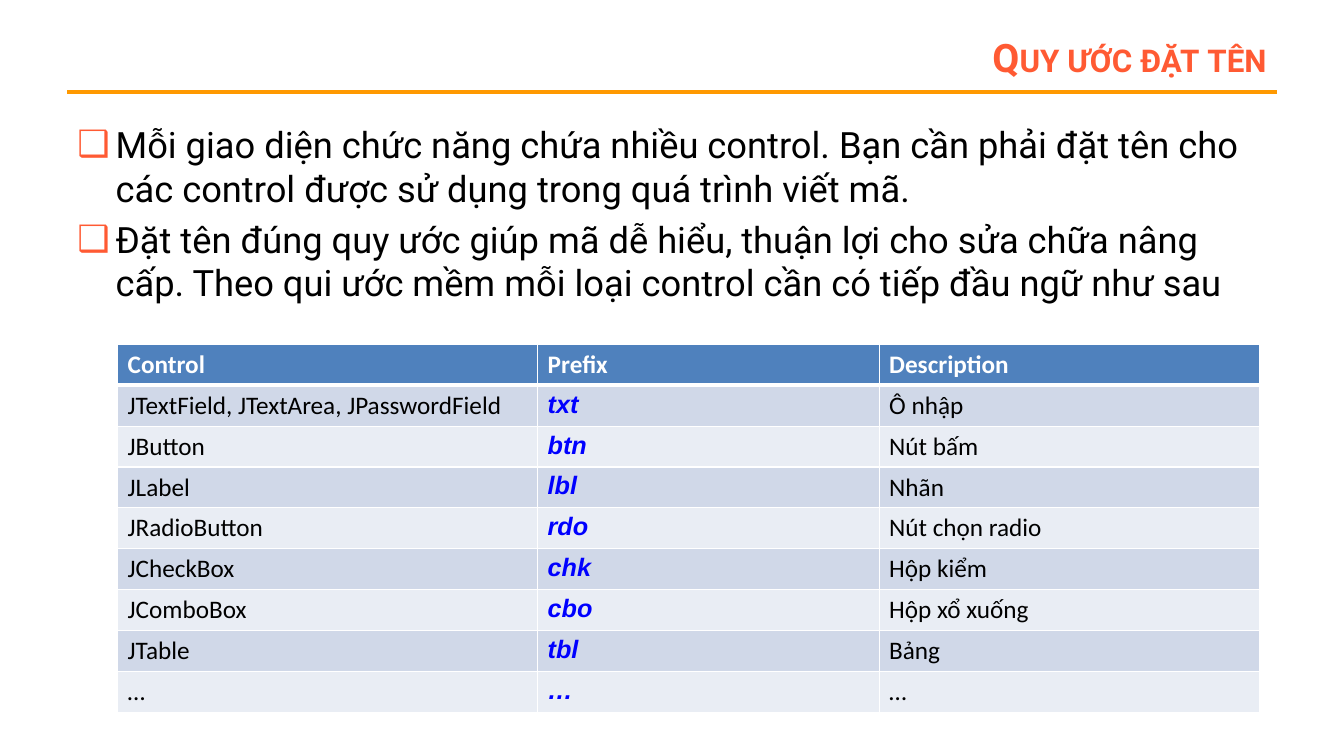
from dataclasses import dataclass

from lxml import etree
from pptx import Presentation
from pptx.dml.color import RGBColor
from pptx.enum.shapes import MSO_CONNECTOR
from pptx.enum.text import MSO_ANCHOR, MSO_AUTO_SIZE, PP_ALIGN
from pptx.oxml.ns import qn
from pptx.util import Inches, Pt

STRAIGHT = MSO_CONNECTOR.STRAIGHT
MIDDLE, TOP = MSO_ANCHOR.MIDDLE, MSO_ANCHOR.TOP
LEFT, RIGHT = PP_ALIGN.LEFT, PP_ALIGN.RIGHT
NO_FIT = MSO_AUTO_SIZE.NONE

SLIDE_WIDTH, SLIDE_HEIGHT = Inches(13.33), Inches(7.5)
GRID_COLUMNS, GRID_ROWS = 80, 90


@dataclass(frozen=True)
class Theme:
    accent: str = "FF5A33"
    rule: str = "FF9900"
    text: str = "000000"
    prefix: str = "0000FF"
    header: str = "4F81BD"
    white: str = "FFFFFF"
    bands: tuple = ("D0D8E8", "E9EDF4")
    heading_font: str = "Roboto"
    table_font: str = "Calibri"
    prefix_font: str = "Arial"
    title_size: float = 28
    body_size: float = 25.9
    table_size: float = 18


THEME = Theme()

BULLETS = (
    "Mỗi giao diện chức năng chứa nhiều control. Bạn cần phải đặt tên cho "
    "các control được sử dụng trong quá trình viết mã.",
    "Đặt tên đúng quy ước giúp mã dễ hiểu, thuận lợi cho sửa chữa nâng cấp. "
    "Theo qui ước mềm mỗi loại control cần có tiếp đầu ngữ như sau",
)

NAMING_TABLE = (
    ("Control", "Prefix", "Description"),
    ("JTextField, JTextArea, JPasswordField", "txt", "Ô nhập"),
    ("JButton", "btn", "Nút bấm"),
    ("JLabel", "lbl", "Nhãn"),
    ("JRadioButton", "rdo", "Nút chọn radio"),
    ("JCheckBox", "chk", "Hộp kiểm"),
    ("JComboBox", "cbo", "Hộp xổ xuống"),
    ("JTable", "tbl", "Bảng"),
    ("…", "…", "…"),
)
TABLE_COLUMNS = (25, 20.33, 22.67)


def across(columns):
    return round(SLIDE_WIDTH * columns / GRID_COLUMNS)


def down(rows):
    return round(SLIDE_HEIGHT * rows / GRID_ROWS)


def place(shape, left, top, width, height):
    shape.left, shape.top = across(left), down(top)
    shape.width, shape.height = across(width), down(height)


def add_run(paragraph, text, font, size, color, bold=False, italic=False):
    run = paragraph.add_run()
    run.text = text
    run.font.name = font
    run.font.size = Pt(size)
    run.font.bold = bold
    run.font.italic = italic
    run.font.color.rgb = RGBColor.from_string(color)
    return run


def prepare_frame(shape, anchor):
    frame = shape.text_frame
    frame.auto_size = NO_FIT
    frame.word_wrap = True
    frame.vertical_anchor = anchor
    return frame


def add_color(parent, color):
    etree.SubElement(parent, qn("a:srgbClr"), val=color)


def set_bullet(paragraph, character, color):
    properties = paragraph._p.get_or_add_pPr()
    properties.set("marL", str(Inches(0.38)))
    properties.set("indent", str(-Inches(0.38)))
    add_color(etree.SubElement(properties, qn("a:buClr")), color)
    etree.SubElement(properties, qn("a:buChar"), char=character)


def add_title(slide, text):
    title = slide.shapes.title
    place(title, 14.67, 3.6, 61.33, 6.4)
    paragraph = prepare_frame(title, MIDDLE).paragraphs[0]
    paragraph.alignment = RIGHT
    run = add_run(paragraph, text, THEME.heading_font, THEME.title_size, THEME.accent, bold=True)
    run._r.get_or_add_rPr().set("cap", "small")


def add_rule(slide):
    rule = slide.shapes.add_connector(STRAIGHT, across(4), down(11), across(76), down(11))
    rule.line.color.rgb = RGBColor.from_string(THEME.rule)
    rule.line.width = Pt(3)
    etree.SubElement(rule._element.spPr, qn("a:effectLst"))


def add_bullets(slide, texts):
    body = slide.placeholders[1]
    place(body, 4, 14, 72, 25)
    frame = prepare_frame(body, TOP)
    for index, text in enumerate(texts):
        paragraph = frame.add_paragraph() if index else frame.paragraphs[0]
        set_bullet(paragraph, "❑", THEME.accent)
        paragraph.alignment = LEFT
        paragraph.space_before = Pt(5.2 if index else 0)
        add_run(paragraph, text, THEME.heading_font, THEME.body_size, THEME.text)


def set_borders(cell, widths):
    properties = cell._tc.get_or_add_tcPr()
    for side, width in widths.items():
        line = etree.SubElement(properties, qn(f"a:ln{side}"), w=str(Pt(width)))
        add_color(etree.SubElement(line, qn("a:solidFill")), THEME.white)


def fill_cell(cell, text, row, column):
    is_header = row == 0
    set_borders(cell, {"L": 1, "R": 1, "T": 3 if row == 1 else 1, "B": 3 if is_header else 1})
    cell.fill.solid()
    fill = THEME.header if is_header else THEME.bands[(row - 1) % 2]
    cell.fill.fore_color.rgb = RGBColor.from_string(fill)
    paragraph = cell.text_frame.paragraphs[0]
    if is_header:
        add_run(paragraph, text, THEME.table_font, THEME.table_size, THEME.white, bold=True)
    elif column == 1:
        add_run(paragraph, text, THEME.prefix_font, THEME.table_size, THEME.prefix,
                bold=True, italic=True)
    else:
        add_run(paragraph, text, THEME.table_font, THEME.table_size, THEME.text)


def add_naming_table(slide, records):
    frame = slide.shapes.add_table(
        len(records), len(TABLE_COLUMNS), across(7), down(41),
        across(sum(TABLE_COLUMNS)), down(43.8))
    table = frame.table
    for column, width in zip(table.columns, TABLE_COLUMNS):
        column.width = across(width)
    for row, record in enumerate(records):
        for column, text in enumerate(record):
            fill_cell(table.cell(row, column), text, row, column)


def main():
    presentation = Presentation()
    presentation.slide_width, presentation.slide_height = SLIDE_WIDTH, SLIDE_HEIGHT
    slide = presentation.slides.add_slide(presentation.slide_layouts[1])
    add_rule(slide)
    add_title(slide, "Quy ước đặt tên")
    add_bullets(slide, BULLETS)
    add_naming_table(slide, NAMING_TABLE)
    presentation.save("out.pptx")


if __name__ == "__main__":
    main()
